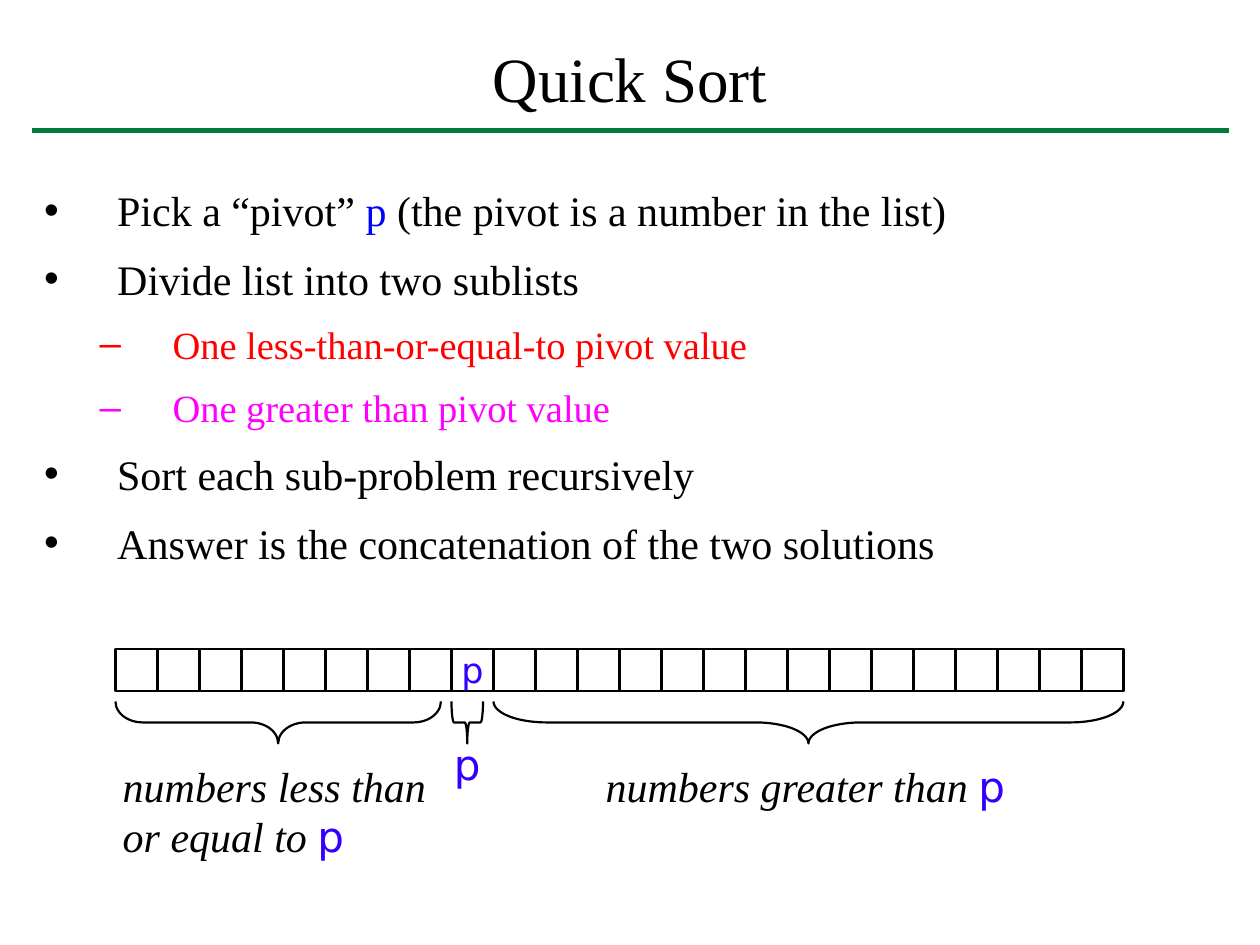
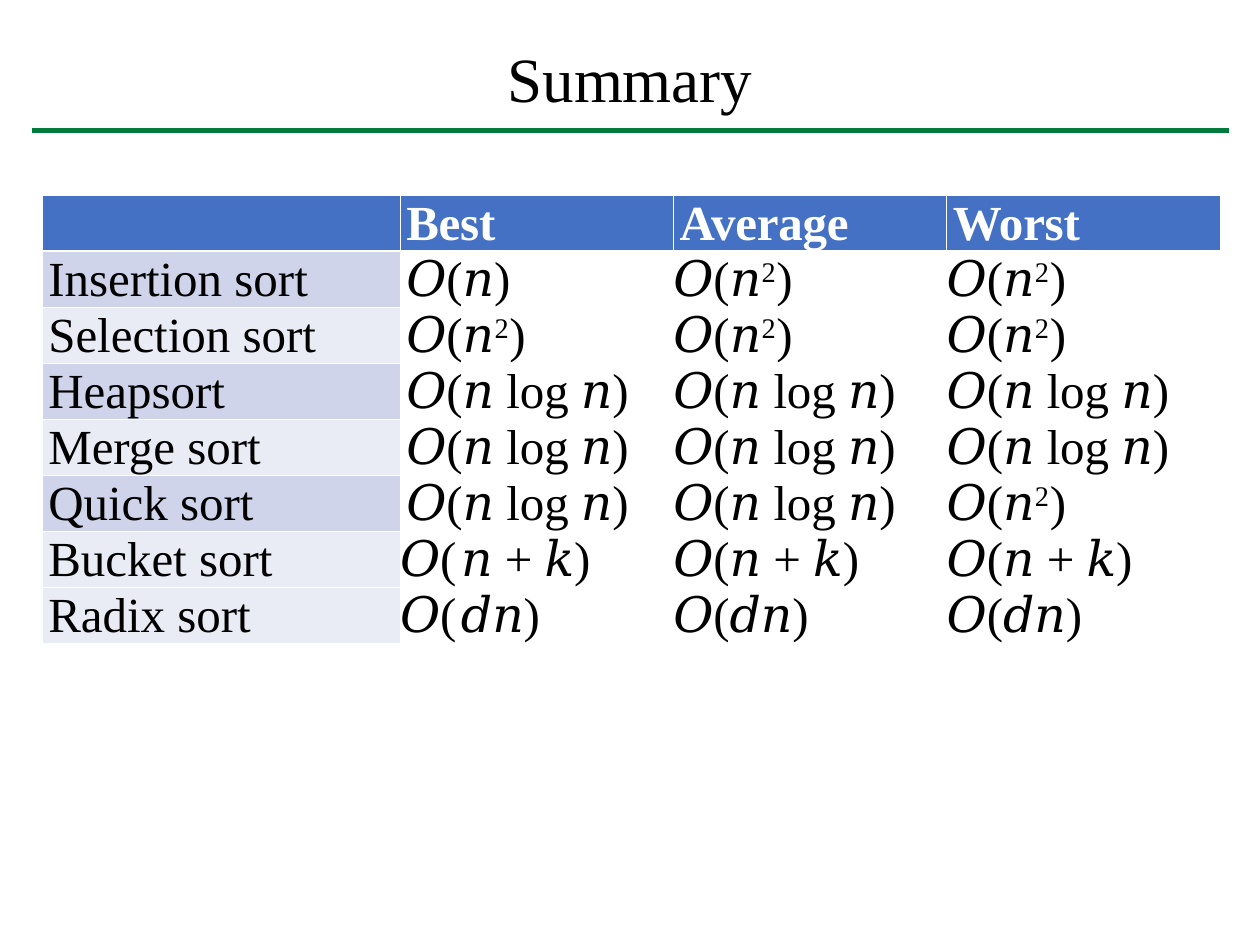
from lxml import etree
from pptx import Presentation
from pptx import util as u
from pptx.dml.color import RGBColor
from pptx.enum import shapes, text
from pptx.oxml import ns

# Grid of 120 columns by 90 rows; boxes are (left, top, width, height)
WIDTH, HEIGHT = u.Inches(10), u.Inches(7.5)
COLUMNS, ROWS = 120, 90
MARGIN, CONTENT = 3, 114
SERIF, SANS = "Times New Roman", "DejaVu Sans"
COLORS = {
    "ink": "000000", "rule": "007B3B", "paper": "FFFFFF", "pivot": "0000FF",
    "less": "FF0000", "greater": "FF00FF", "label": "3300FF",
    "header": "4471C4", "band": "CFD4EA", "light": "E9EBF5",
}

BULLETS = [  # level, runs of (words, colour)
    (0, [("Pick a “pivot” ", "ink"), ("p", "pivot"),
         (" (the pivot is a number in the list)", "ink")]),
    (0, [("Divide list into two sublists", "ink")]),
    (1, [("One less-than-or-equal-to pivot value", "less")]),
    (1, [("One greater than pivot value", "greater")]),
    (0, [("Sort each sub-problem recursively", "ink")]),
    (0, [("Answer is the concatenation of the two solutions", "ink")]),
]

# Costs are runs of (words, baseline in percent, letter spacing in points)
LINEAR = [("𝑂(𝑛)", 0, 0)]
SQUARE = [("𝑂(", 0, 0), ("𝑛", 0, 0.2), ("2", 28, 0.4), (")", 0, 0)]
LOG = [("𝑂(𝑛 ", 0, 0), ("lo", 0, -0.1), ("g 𝑛)", 0, 0)]
BUCKET = [("𝑂(𝑛 + 𝑘)", 0, 0)]
RADIX = [("𝑂(𝑑𝑛)", 0, 0)]
HEADINGS = ["Best", "Average", "Worst"]
SORTS = [
    ("Insertion sort", "band", [LINEAR, SQUARE, SQUARE]),
    ("Selection sort", "light", [SQUARE, SQUARE, SQUARE]),
    ("Heapsort", "band", [LOG, LOG, LOG]),
    ("Merge sort", "light", [LOG, LOG, LOG]),
    ("Quick sort", "band", [LOG, LOG, SQUARE]),
    ("Bucket sort", "light",
     [[("𝑂", 0, 0), ("(", 0, 2.7), ("𝑛 + 𝑘)", 0, 0)], BUCKET, BUCKET]),
    ("Radix sort", "light",
     [[("𝑂", 0, 0), ("(", 0, 2.6), ("𝑑𝑛)", 0, 0)], RADIX, RADIX]),
]


def across(columns):
    return round(WIDTH * columns / COLUMNS)


def down(rows):
    return round(HEIGHT * rows / ROWS)


def place(box):
    left, top, width, height = box
    return across(left), down(top), across(width), down(height)


def move(shape, box):
    shape.left, shape.top, shape.width, shape.height = place(box)


def color(name):
    return RGBColor.from_string(COLORS[name])


def add_span(para, words, size, tint="ink", font=SERIF, italic=False, bold=False):
    span = para.add_run()
    span.text = words
    span.font.size, span.font.name = u.Pt(size), font
    span.font.italic, span.font.bold = italic, bold
    span.font.color.rgb = color(tint)
    return span


def set_indent(para, margin, first):
    properties = para._p.get_or_add_pPr()
    properties.set("marL", str(u.Inches(margin)))
    properties.set("indent", str(u.Inches(first)))


def add_page(deck, layout, title):
    """Start a slide with the shared title and the rule below it."""
    page = deck.slides.add_slide(deck.slide_layouts[layout])
    heading = page.shapes.title
    move(heading, (MARGIN, 2.3, CONTENT, 10.1))
    heading.text_frame.auto_size = text.MSO_AUTO_SIZE.NONE
    para = heading.text_frame.paragraphs[0]
    para.alignment = text.PP_ALIGN.CENTER
    add_span(para, title, 36)

    left, top, width, _ = place((MARGIN, 12.4, CONTENT, 0))
    rule = page.shapes.add_connector(
        shapes.MSO_CONNECTOR.STRAIGHT, left, top, left + width, top)
    rule.line.color.rgb, rule.line.width = color("rule"), u.Pt(3)
    etree.SubElement(rule._element.spPr, ns.qn("a:effectLst"))
    return page


def fill_bullets(page, box):
    body = page.placeholders[1]
    move(body, box)
    frame = body.text_frame
    frame.auto_size = text.MSO_AUTO_SIZE.NONE
    for index, (level, spans) in enumerate(BULLETS):
        para = frame.add_paragraph() if index else frame.paragraphs[0]
        para.level, para.line_spacing = level, 1.2
        set_indent(para, 0.58 + 0.44 * level, -0.58)
        for words, tint in spans:
            add_span(para, words, 24 - 2 * level, tint)


def add_outline(page, kind, box):
    shape = page.shapes.add_shape(kind, *place(box))
    shape.shadow.inherit = False
    shape.fill.background()
    shape.line.color.rgb, shape.line.width = color("ink"), u.Pt(1.25)
    return shape


def add_brace(page, box, curve):
    """Turn a left brace so that it points down and fills the box."""
    left, top, width, height = box
    shift = (width - height) / 2
    brace = add_outline(page, shapes.MSO_SHAPE.LEFT_BRACE,
                        (left + shift, top - shift, height, width))
    brace.rotation = 270
    brace.adjustments[0] = curve


def add_caption(page, box, words):
    """Write words in italics, followed by the pivot's name."""
    frame = page.shapes.add_textbox(*place(box)).text_frame
    frame.word_wrap = True
    para = frame.paragraphs[0]
    if words:
        add_span(para, words, 24, italic=True)
    else:
        para.alignment = text.PP_ALIGN.CENTER
    add_span(para, "p", 24, "label", SANS)


def draw_partition(page, box):
    """Draw the divided list, with a brace and a caption for each part."""
    left, top, width, _ = box
    count, pivot = 24, 8
    side = width / count
    for index in range(count):
        cell = add_outline(page, shapes.MSO_SHAPE.RECTANGLE,
                           (left + index * side, top, side, side))
        if index == pivot:
            frame = cell.text_frame
            frame.word_wrap = False
            frame.vertical_anchor = text.MSO_ANCHOR.MIDDLE
            para = frame.paragraphs[0]
            para.alignment = text.PP_ALIGN.CENTER
            add_span(para, "p", 20, "label", SANS)

    # Brace start, width and curve; caption start, row, width, height and words
    parts = [
        (0, 31, 0.65, -0.5, 10, 33, 10.9, "numbers less than or equal to "),
        (36, 60, 1.26, 45.5, 10, 43, 6.1, "numbers greater than "),
        (32, 3, 0.08, 30, 7.9, 7, 6, ""),
    ]
    for start, span, curve, column, row, wide, high, words in parts:
        add_brace(page, (left + start, top + 5, span, side), curve)
        add_caption(page, (left + column, top + row, wide, high), words)


def style_cell(cell, fill, top_line, bottom_line):
    cell.margin_left = cell.margin_right = cell.margin_bottom = 0
    cell.margin_top = u.Inches(0.01)
    properties = cell._tc.get_or_add_tcPr()
    for edge, points in (("L", 0.5), ("R", 0.5), ("T", top_line), ("B", bottom_line)):
        line = etree.SubElement(properties, ns.qn(f"a:ln{edge}"), w=str(u.Pt(points)))
        solid = etree.SubElement(line, ns.qn("a:solidFill"))
        etree.SubElement(solid, ns.qn("a:srgbClr"), val=COLORS["paper"])
    if fill:
        cell.fill.solid()
        cell.fill.fore_color.rgb = color(fill)
    else:
        cell.fill.background()


def write_cell(cell, runs, flush=False, **style):
    para = cell.text_frame.paragraphs[0]
    para.space_before = u.Pt(1)
    set_indent(para, 0 if flush else 0.05, 0)
    for words, baseline, spacing in runs:
        span = add_span(para, words, 28, **style)
        properties = span._r.get_or_add_rPr()
        if baseline:
            properties.set("baseline", str(baseline * 1000))
        if spacing:
            properties.set("spc", str(round(spacing * 100)))


def add_costs(page, box):
    """Lay out the table of running times."""
    table = page.shapes.add_table(
        len(SORTS) + 1, len(HEADINGS) + 1, *place(box)).table
    table.first_row = table.horz_banding = False
    name_width = 34.1
    cost_width = (box[2] - name_width) / len(HEADINGS)
    for index, column in enumerate(table.columns):
        column.width = across(cost_width if index else name_width)

    # Header row
    for column, heading in enumerate([""] + HEADINGS):
        cell = table.cell(0, column)
        style_cell(cell, "header", 0.5, 1.5)
        if heading:
            write_cell(cell, [(heading, 0, -0.1)], tint="paper", bold=True)

    # One row for each sort
    for row, (name, fill, costs) in enumerate(SORTS, 1):
        top_line = 1.5 if row == 1 else 0.5
        for column, runs in enumerate([[(name, 0, 0)]] + costs):
            cell = table.cell(row, column)
            style_cell(cell, None if column else fill, top_line, 0.5)
            write_cell(cell, runs, flush=column > 1 or (column == 1 and row > 5))


def main():
    deck = Presentation()
    deck.slide_width, deck.slide_height = WIDTH, HEIGHT

    page = add_page(deck, 1, "Quick Sort")
    fill_bullets(page, (MARGIN, 16, 91, 39.8))
    draw_partition(page, (11, 61.8, 96, 4))

    page = add_page(deck, 5, "Summary")
    add_costs(page, (4, 18.6, 112.2, 42.7))

    deck.save("out.pptx")


if __name__ == "__main__":
    main()
